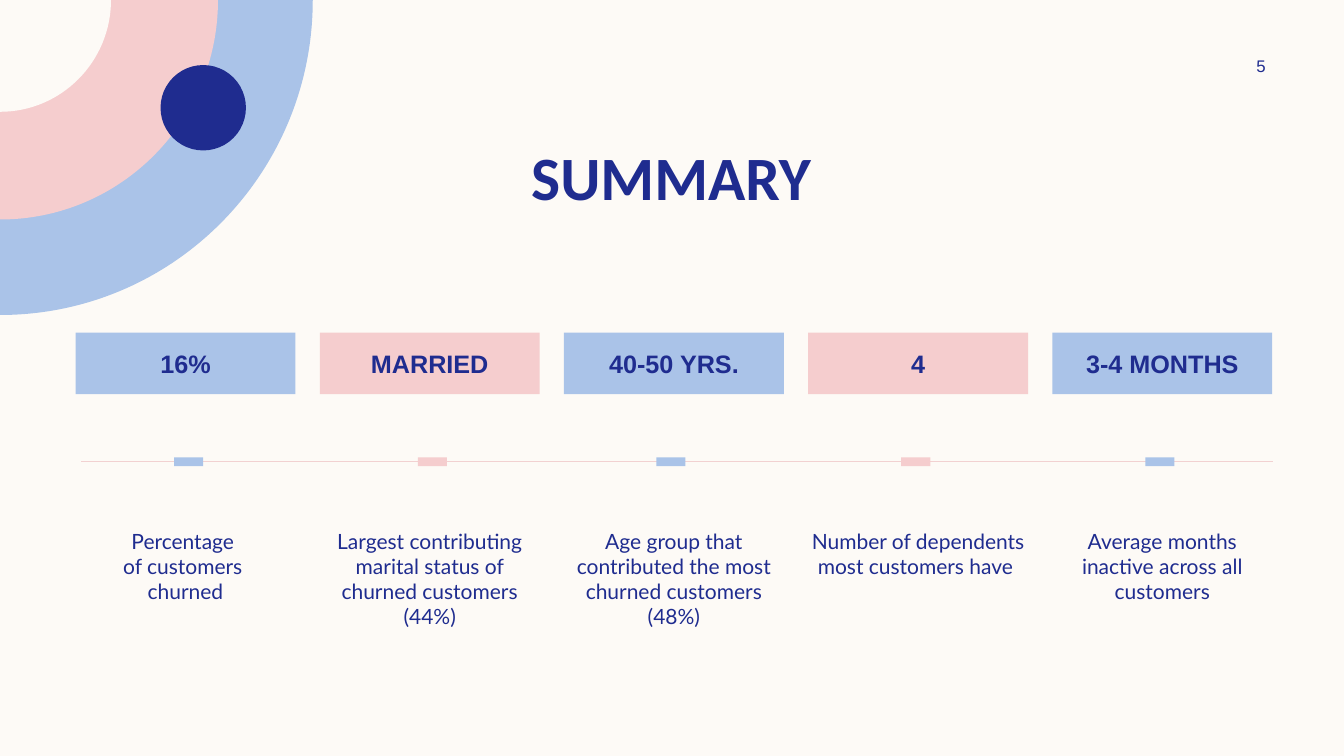
from lxml import etree
from pptx import Presentation
from pptx.dml.color import RGBColor
from pptx.enum.shapes import MSO_CONNECTOR, MSO_SHAPE
from pptx.enum.text import MSO_ANCHOR, PP_ALIGN
from pptx.oxml.ns import qn
from pptx.util import Pt

RECT, OVAL = MSO_SHAPE.RECTANGLE, MSO_SHAPE.OVAL
LINE = MSO_CONNECTOR.STRAIGHT
CENTER = PP_ALIGN.CENTER
TOP, MIDDLE = MSO_ANCHOR.TOP, MSO_ANCHOR.MIDDLE

CREAM, BLUE, PINK, NAVY = "FDFAF6", "AAC3E8", "F5CDCE", "1F2C8F"
RULE = "F2D1D1"
BEND = 0.5523  # cubic handle length for a quarter circle

# Heading, description lines, shift of the marker from the card centre
CARDS = [
    ("16%", ["Percentage ", "of customers ", "churned"], 2.2),
    ("MARRIED", ["Largest contributing marital status of "
                 "churned customers (44%)"], 1.9),
    ("40-50 YRS.", ["Age group that contributed the most "
                    "churned customers (48%)"], -2.2),
    ("4", ["Number of dependents most customers have "], -1.7),
    ("3-4 MONTHS", ["Average months inactive across all customers"], -1.8),
]


def color(code):
    return RGBColor.from_string(code)


def paint(shape, code):
    """Give a flat fill with no outline or shadow."""
    shape.shadow.inherit = False
    shape.fill.solid()
    shape.fill.fore_color.rgb = color(code)
    shape.line.fill.background()
    return shape


def block(slide, kind, box, code):
    return paint(slide.shapes.add_shape(kind, *map(Pt, box)), code)


def write(shape, lines, font, size, bold=False, anchor=TOP, pad=(7.2, 3.6)):
    """Fill a shape with centred navy lines; pad is side, top."""
    frame = shape.text_frame
    frame.word_wrap = True
    frame.vertical_anchor = anchor
    frame.margin_left = frame.margin_right = Pt(pad[0])
    frame.margin_top = frame.margin_bottom = Pt(pad[1])
    for i, line in enumerate(lines):
        par = frame.add_paragraph() if i else frame.paragraphs[0]
        par.text = line
        par.alignment = CENTER
        par.font.name = font
        par.font.size = Pt(size)
        par.font.bold = bold
        par.font.color.rgb = color(NAVY)


def label(slide, box, lines, font, size, **style):
    write(slide.shapes.add_textbox(*map(Pt, box)), lines, font, size, **style)


def disc(slide, wide, high, code):
    """A quarter disc centred on the top left corner of the slide."""
    wide, high = Pt(wide), Pt(high)
    build = slide.shapes.build_freeform(0, 0)
    build.add_line_segments([(wide, 0), (0, high)], close=True)
    shape = paint(build.convert_to_shape(), code)
    edge = list(shape._element.iter(qn("a:lnTo")))[1]
    curve = etree.Element(qn("a:cubicBezTo"))
    for x, y in ((wide, high * BEND), (wide * BEND, high), (0, high)):
        etree.SubElement(curve, qn("a:pt"), x=str(round(x)), y=str(round(y)))
    edge.getparent().replace(edge, curve)


def corner(slide, wide, high):
    """Nested quarter discs with a dot on the inner ring."""
    for ratio, code in ((1, BLUE), (0.697, PINK), (0.355, CREAM)):
        disc(slide, wide * ratio, high * ratio, code)
    block(slide, OVAL, (114.7, 46.5, 61, 61), NAVY)


def rule(slide, left, right, y):
    line = slide.shapes.add_connector(LINE, Pt(left), Pt(y), Pt(right), Pt(y))
    line.line.color.rgb = color(RULE)
    line.line.width = Pt(1)
    props = line._element.spPr
    etree.SubElement(props, qn("a:effectLst"))


def card(slide, box, code, head, lines, shift):
    """A heading bar, a marker on the rule and a description."""
    left, top, wide, high = box
    bar = block(slide, RECT, (left, top, wide, 44), code)
    write(bar, [head], "Arial", 18, bold=True, anchor=MIDDLE, pad=(0, 0))
    mid = left + wide / 2 + shift
    mark = block(slide, RECT, (mid - 3.2, top + 81.8, 6.4, 20.8), code)
    mark.rotation = 270
    label(slide, (left, top + 136.3, wide, high - 136.3), lines, "Lato", 15,
          pad=(0, 3.6))


def cards(slide, left, top, wide, high):
    gap = 17.4
    each = (wide - gap * (len(CARDS) - 1)) / len(CARDS)
    for i, (head, lines, shift) in enumerate(CARDS):
        box = (left + i * (each + gap), top, each, high)
        card(slide, box, (BLUE, PINK)[i % 2], head, lines, shift)


def main():
    deck = Presentation()
    deck.slide_width, deck.slide_height = Pt(960), Pt(540)
    slide = deck.slides.add_slide(deck.slide_layouts[6])
    slide.background.fill.solid()
    slide.background.fill.fore_color.rgb = color(CREAM)
    corner(slide, 223.4, 225)
    rule(slide, 58, 909.4, 329.7)
    label(slide, (59.5, 96, 840, 60.5), ["SUMMARY"], "Calibri", 44, bold=True)
    label(slide, (861.8, 36, 77.8, 21.6), ["5"], "Arial", 12, anchor=MIDDLE)
    cards(slide, 54, 237.6, 854.8, 198.9)
    deck.save("out.pptx")


if __name__ == "__main__":
    main()
